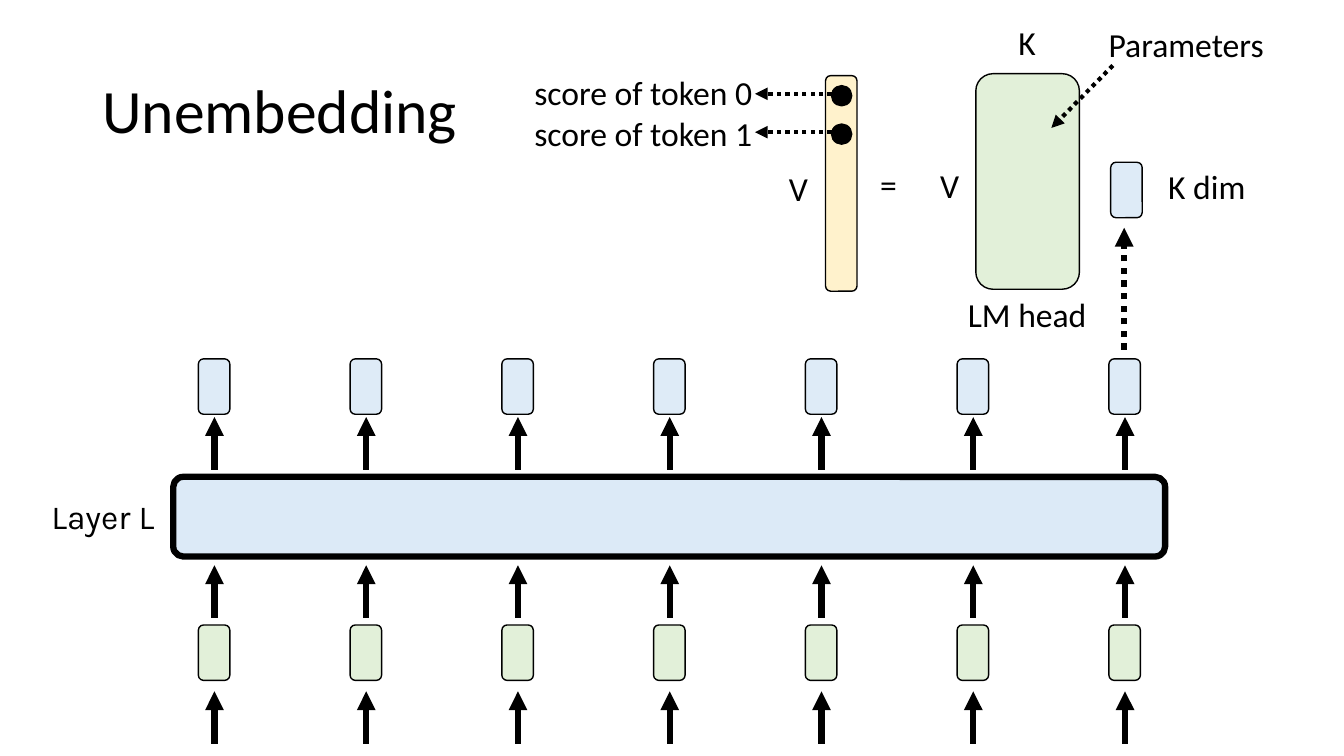
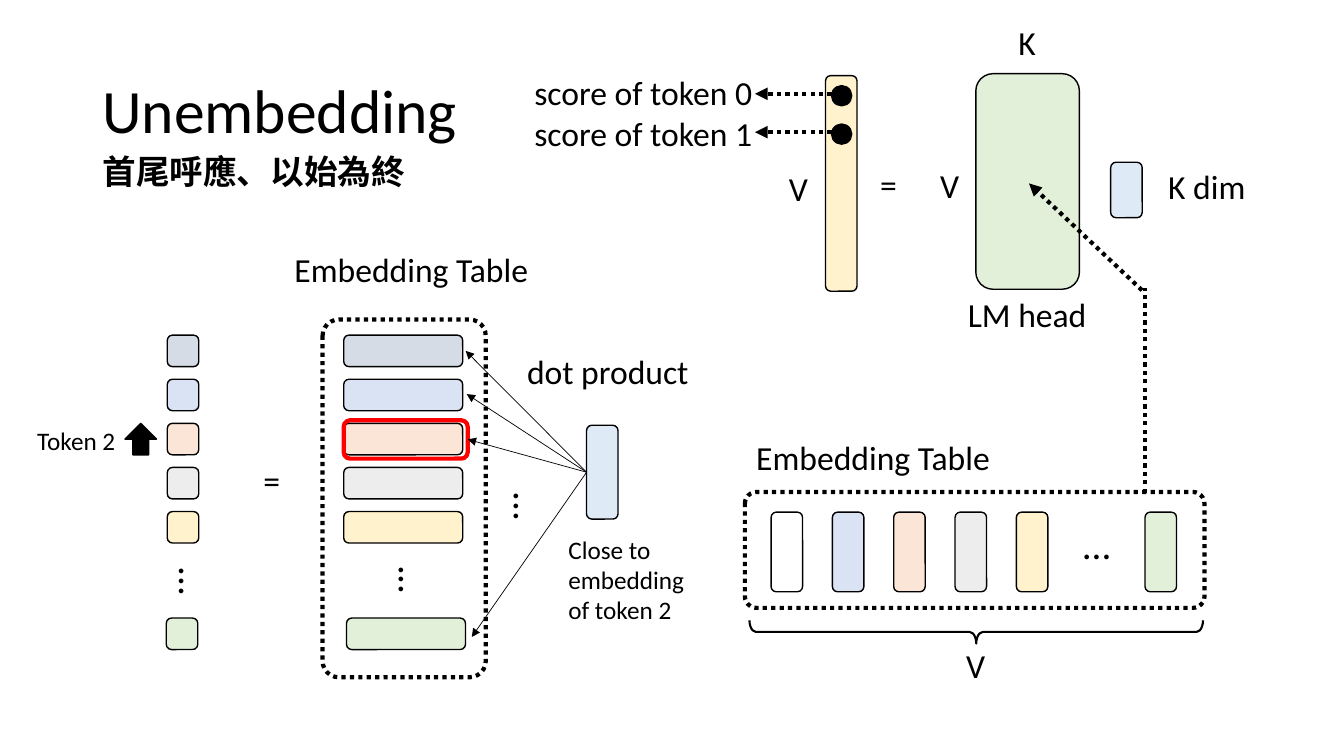
from dataclasses import dataclass

from lxml import etree
from pptx import Presentation
from pptx import util as u
from pptx.dml import color
from pptx.enum import dml, shapes, text
from pptx.oxml import ns

PRESET = shapes.MSO_SHAPE
ALIGN = text.PP_ALIGN


@dataclass(frozen=True)
class Theme:
    ink: str = "000000"
    white: str = "FFFFFF"
    highlight: str = "FF0000"
    vector: str = "DEEBF7"
    layer: str = "DCEAF7"
    green: str = "E2F0D9"
    slate: str = "D6DCE5"
    blue: str = "DAE3F3"
    peach: str = "FBE5D6"
    grey: str = "EDEDED"
    cream: str = "FFF2CC"
    font: str = "Calibri"
    layer_font: str = "Karla"
    chinese_font: str = "Noto Sans CJK SC"
    title_size: int = 44
    dots_size: int = 28
    label_size: int = 24
    note_size: int = 18
    outline: float = 1
    thin: float = 0.5
    dotted: float = 3
    heavy: float = 4.5


THEME = Theme()


def write(frame, content, size=THEME.label_size, font=THEME.font, bold=False,
          align=ALIGN.LEFT, anchor=text.MSO_ANCHOR.TOP, spacing=1.0):
    frame.word_wrap = True
    frame.vertical_anchor = anchor
    paragraph = frame.paragraphs[0]
    paragraph.alignment = align
    paragraph.line_spacing = spacing
    run = paragraph.add_run()
    run.text = content
    run.font.size = u.Pt(size)
    run.font.bold = bold
    run.font.color.rgb = color.RGBColor.from_string(THEME.ink)
    run.font.name = font
    east_asian = etree.SubElement(run.font._element, ns.qn("a:ea"))
    east_asian.set("typeface", font)


class Deck:
    def __init__(self, theme):
        self.theme = theme
        self.presentation = Presentation()
        self.presentation.slide_width = u.Pt(960)
        self.presentation.slide_height = u.Pt(540)
        self.slide = None

    def new_slide(self, title):
        self.slide = self.presentation.slides.add_slide(self.presentation.slide_layouts[6])
        self.label(title, 66, 28.8, 828, 104.4, size=self.theme.title_size,
                   anchor=text.MSO_ANCHOR.MIDDLE, spacing=0.9)

    def label(self, content, left, top, width, height=36, rotation=0, **style):
        box = self.slide.shapes.add_textbox(u.Pt(left), u.Pt(top), u.Pt(width), u.Pt(height))
        box.rotation = rotation
        write(box.text_frame, content, **style)

    def dots(self, left, top, rotation=0):
        self.label("...", left, top, 53.3, 41, rotation=rotation,
                   size=self.theme.dots_size, align=ALIGN.CENTER)

    def stroke(self, line, weight, ink, dotted):
        line.color.rgb = color.RGBColor.from_string(ink)
        line.width = u.Pt(weight)
        if dotted:
            line.dash_style = dml.MSO_LINE.ROUND_DOT

    def shape(self, left, top, width, height, fill=None, kind=PRESET.ROUNDED_RECTANGLE,
              weight=THEME.outline, ink=THEME.ink, dotted=False, adjust=None, rotation=0):
        shape = self.slide.shapes.add_shape(kind, u.Pt(left), u.Pt(top), u.Pt(width), u.Pt(height))
        shape.shadow.inherit = False
        shape.rotation = rotation
        if fill:
            shape.fill.solid()
            shape.fill.fore_color.rgb = color.RGBColor.from_string(fill)
        else:
            shape.fill.background()
        if adjust is not None:
            shape.adjustments[0] = adjust
        self.stroke(shape.line, weight, ink, dotted)
        return shape

    def arrow(self, start, end, weight=THEME.heavy, dotted=False, head=True):
        points = [u.Pt(value) for value in (*start, *end)]
        connector = self.slide.shapes.add_connector(shapes.MSO_CONNECTOR.STRAIGHT, *points)
        self.stroke(connector.line, weight, self.theme.ink, dotted)
        if head:
            tail = etree.SubElement(connector.line._get_or_add_ln(), ns.qn("a:tailEnd"))
            tail.set("type", "triangle")
        etree.SubElement(connector._element.spPr, ns.qn("a:effectLst"))
        return connector

    def dotted_arrow(self, start, end, head=True):
        return self.arrow(start, end, self.theme.dotted, dotted=True, head=head)

    def lm_head_equation(self):
        theme = self.theme
        self.shape(793.4, 115.9, 22.5, 39.6, theme.vector)
        self.shape(697, 52.6, 74, 154, theme.green)
        self.shape(589.7, 54, 22.5, 154, theme.cream)
        for content, left, top, width in (("LM head", 675.4, 206.6, 116.6), ("=", 606.2, 113.8, 57),
                                          ("K", 714.2, 12.2, 39), ("V", 658.8, 114.5, 39),
                                          ("V", 550.8, 116.6, 39)):
            self.label(content, left, top, width, align=ALIGN.CENTER)
        self.label("K dim", 827.3, 115.2, 85.7)
        for token, (text_top, dot_top) in enumerate(((48.2, 61.2), (77, 88.6))):
            self.label(f"score of token {token}", 352.8, text_top, 191.5, align=ALIGN.RIGHT)
            self.shape(594, dot_top, 14.4, 14.4, theme.ink, PRESET.OVAL)
            self.dotted_arrow((594, dot_top + 5.8), (539.3, dot_top + 5.8))

    def save(self):
        self.presentation.save("out.pptx")


def last_layer_slide(deck):
    theme = deck.theme
    deck.new_slide("Unembedding")
    deck.shape(123.8, 340.6, 708.5, 56.9, theme.layer, weight=theme.heavy, adjust=0.125)
    deck.label("Layer L", 28.8, 350.6, 89.3, font=theme.layer_font, align=ALIGN.CENTER)
    for column in range(7):
        center = 153.2 + column * 108.4
        for top, fill in ((256.3, theme.vector), (446.4, theme.green)):
            deck.shape(center - 11.5, top, 22.5, 39.6, fill)
        for bottom in (335.5, 441.4, 531.4):
            deck.arrow((center, bottom), (center, bottom - 37.6))
    deck.lm_head_equation()
    deck.label("Parameters", 784.8, 13.7, 134.6)
    deck.dotted_arrow((794.9, 46.8), (751, 91.4))
    deck.arrow((803, 249.8), (803, 162.7), dotted=True)


def embedding_table_slide(deck):
    theme = deck.theme
    deck.new_slide("Unembedding")
    deck.lm_head_equation()
    deck.label("首尾呼應、以始為終", 66.2, 104.4, 278.6, font=theme.chinese_font, bold=True)

    token_fills = (theme.slate, theme.blue, theme.peach, theme.grey, theme.cream)
    for row, fill in enumerate(token_fills):
        top = 239.4 + row * 31.5
        deck.shape(119.5, top, 22.5, 22.5, fill)
        deck.shape(245.5, top, 85, 22.5, fill)
    deck.shape(118.8, 441.5, 22.5, 22.5, theme.green)
    deck.shape(247.5, 441.5, 85, 22.5, theme.green)
    for left, top in ((112.3, 394.6), (269.3, 393.8), (351.4, 341.3)):
        deck.dots(left, top, rotation=90)
    deck.label("=", 165.6, 324.7, 57, align=ALIGN.CENTER)
    deck.shape(230.4, 228.2, 116.6, 255.6, weight=theme.dotted, dotted=True, adjust=0.1)
    deck.label("Embedding Table", 154.8, 174.2, 278, align=ALIGN.CENTER)
    deck.shape(89.3, 302.4, 22.5, 22.5, theme.ink, PRESET.UP_ARROW)
    deck.label("Token 2", 19.4, 300.2, 71.3, 29, size=theme.note_size)

    highlight = deck.shape(245.5, 300.2, 88.6, 27.4, weight=theme.dotted, ink=theme.highlight)
    query = deck.shape(419, 303.8, 22.5, 67, theme.vector)
    for target in ((332.6, 250.6), (333.4, 281.5), (334.1, 313.9), (337, 455)):
        comparison = deck.arrow((419, 337.3), target, theme.thin)
        comparison.begin_connect(query, 1)
        if target == (334.1, 313.9):
            comparison.end_connect(highlight, 3)
    deck.label("dot product", 369.4, 247, 169.2)
    deck.label("Close to embedding of token 2", 398.9, 378, 108.7, 72.7, size=theme.note_size)

    for column, fill in enumerate((theme.white, *token_fills[1:])):
        deck.shape(550.8 + column * 43.8, 365.8, 22.5, 56.9, fill)
    deck.dots(756.7, 367.9)
    deck.shape(817.9, 365.8, 22.5, 56.9, theme.green)
    deck.shape(532.1, 351.4, 328.3, 82.8, weight=theme.dotted, dotted=True, adjust=0.1)
    deck.label("Embedding Table", 484.6, 308.2, 278, align=ALIGN.CENTER)
    deck.shape(689, 289.4, 16.6, 324, kind=PRESET.RIGHT_BRACE, weight=1.5, adjust=0.28, rotation=90)
    deck.label("V", 604.8, 457.2, 184.3, align=ALIGN.CENTER)
    deck.dotted_arrow((817.9, 352), (817.9, 206), head=False)
    deck.dotted_arrow((815.8, 207.4), (735, 131))


def main():
    deck = Deck(THEME)
    last_layer_slide(deck)
    embedding_table_slide(deck)
    deck.save()


if __name__ == "__main__":
    main()
